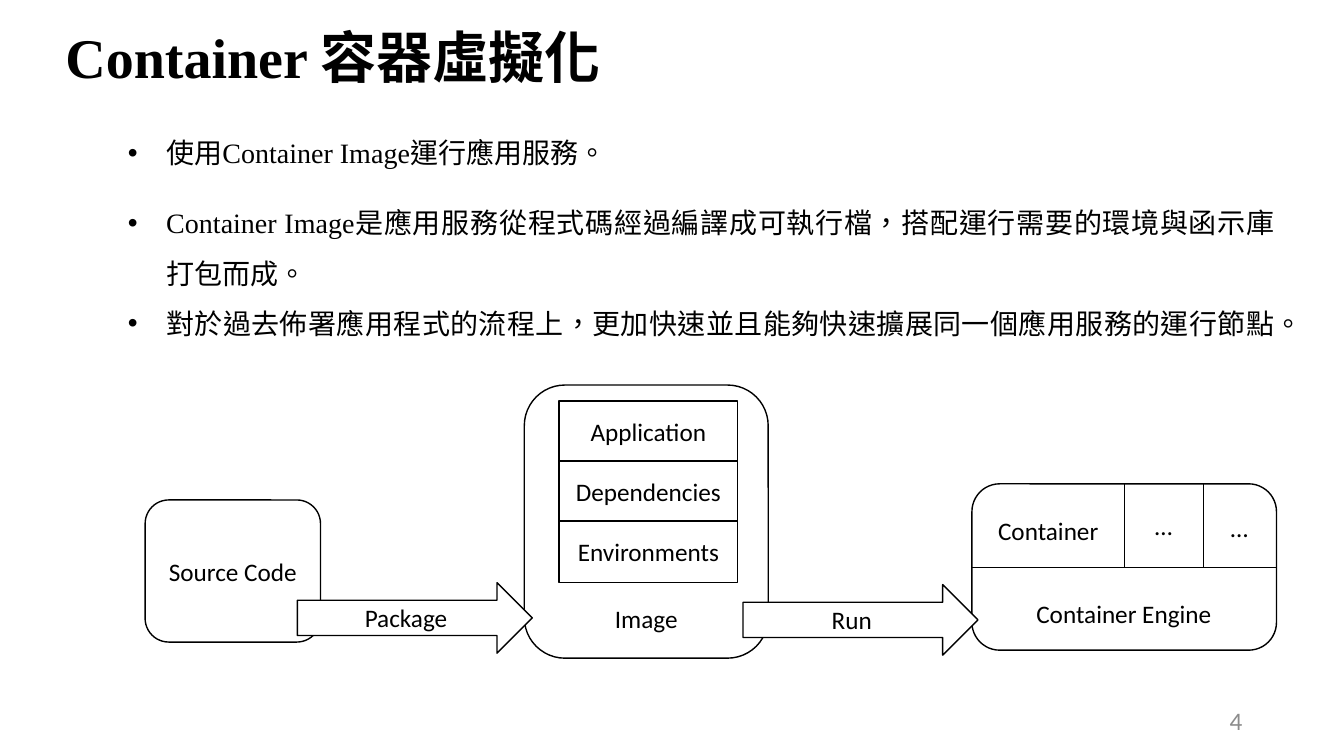
import dataclasses

import lxml.etree
import pptx
import pptx.dml.color
import pptx.enum.lang
import pptx.enum.shapes
import pptx.enum.text
import pptx.oxml.ns
import pptx.util

COLORS = {"ink": "000000", "paper": "FFFFFF", "number": "8C8C8C"}
BODY_FONT = "Calibri"
HEAD_FONT = "Times New Roman"
SLIDE_WIDTH = pptx.util.Inches(13.33)
SLIDE_HEIGHT = pptx.util.Inches(7.5)
SHAPES = pptx.enum.shapes.MSO_SHAPE
ALIGN = pptx.enum.text.PP_ALIGN
ANCHOR = pptx.enum.text.MSO_ANCHOR
LABEL_HEIGHT = 5.33


@dataclasses.dataclass
class Box:
    """Left, top, width and height in percent of the slide."""
    left: float
    top: float
    width: float
    height: float

    def inner(self, left, top, width, height):
        return Box(self.left + left, self.top + top, width, height)

    def emu(self):
        return (*point(self.left, self.top), *point(self.width, self.height))


def point(column, row):
    return round(SLIDE_WIDTH * column / 100), round(SLIDE_HEIGHT * row / 100)


def color(name):
    return pptx.dml.color.RGBColor.from_string(COLORS[name])


def write(para, text, size=18, font=BODY_FONT, ink="ink", bold=False):
    span = para.add_run()
    span.text = text
    span.font.size = pptx.util.Pt(size)
    span.font.name = font
    span.font.bold = bold
    span.font.color.rgb = color(ink)
    span.font.language_id = pptx.enum.lang.MSO_LANGUAGE_ID.TRADITIONAL_CHINESE


def add_text(page, box, anchor=ANCHOR.TOP):
    frame = page.shapes.add_textbox(*box.emu()).text_frame
    frame.word_wrap = True
    frame.vertical_anchor = anchor
    return frame


def add_label(page, box, text, align=ALIGN.CENTER):
    para = add_text(page, box).paragraphs[0]
    para.alignment = align
    write(para, text)


def add_block(page, box, kind, text=""):
    block = page.shapes.add_shape(kind, *box.emu())
    block.shadow.inherit = False
    block.fill.solid()
    block.fill.fore_color.rgb = color("paper")
    block.line.color.rgb = color("ink")
    block.line.width = pptx.util.Pt(1)
    if text:
        block.text_frame.word_wrap = True
        block.text_frame.vertical_anchor = ANCHOR.MIDDLE
        para = block.text_frame.paragraphs[0]
        para.alignment = ALIGN.CENTER
        write(para, text)
    return block


def add_line(page, start, end):
    line = page.shapes.add_connector(
        pptx.enum.shapes.MSO_CONNECTOR.STRAIGHT, *point(*start), *point(*end))
    line.line.color.rgb = color("ink")
    line.line.width = pptx.util.Pt(0.5)
    lxml.etree.SubElement(line._element.spPr, pptx.oxml.ns.qn("a:effectLst"))
    return line


def add_title(page, box, text):
    para = add_text(page, box, ANCHOR.MIDDLE).paragraphs[0]
    para.line_spacing = 0.9
    write(para, text, 40, HEAD_FONT, bold=True)


def add_bullets(page, box, items):
    frame = add_text(page, box)
    indent = pptx.util.Inches(0.38)
    for index, item in enumerate(items):
        para = frame.add_paragraph() if index else frame.paragraphs[0]
        para.alignment = ALIGN.JUSTIFY
        para.line_spacing = 1.5
        para.space_after = pptx.util.Pt(0 if index else 14)
        props = para._p.get_or_add_pPr()
        props.set("marL", str(indent))
        props.set("indent", str(-indent))
        font = lxml.etree.SubElement(props, pptx.oxml.ns.qn("a:buFont"))
        font.set("typeface", "Arial")
        bullet = lxml.etree.SubElement(props, pptx.oxml.ns.qn("a:buChar"))
        bullet.set("char", "•")
        write(para, item, 20, HEAD_FONT)


def add_image(page, box, layers):
    add_block(page, box, SHAPES.ROUNDED_RECTANGLE)
    for index, layer in enumerate(layers):
        place = box.inner(2.6, 2.13 + 7.93 * index, 13.28, 8.13)
        add_block(page, place, SHAPES.RECTANGLE, layer)
    add_label(page, box.inner(3.15, 28.27, 11.85, LABEL_HEIGHT), "Image")


def add_engine(page, box):
    engine = add_block(page, box, SHAPES.ROUNDED_RECTANGLE)
    middle = box.top + box.height / 2
    center = box.left + box.width / 2
    second = box.left + box.width * 0.76
    shelf = add_line(page, (box.left, middle), (box.left + box.width, middle))
    shelf.begin_connect(engine, 1)
    shelf.end_connect(engine, 3)
    divider = add_line(page, (center, box.top), (center, middle))
    divider.begin_connect(engine, 0)
    add_line(page, (second, box.top), (second, middle))
    for text, left, top, width, align in (
            ("Container Engine", 4.05, 14.53, 15.15, ALIGN.LEFT),
            ("Container", 1.2, 3.47, 9.53, ALIGN.LEFT),
            ("…", 12.45, 2.8, 3.6, ALIGN.CENTER),
            ("…", 18.08, 3.07, 3.6, ALIGN.CENTER)):
        add_label(page, box.inner(left, top, width, LABEL_HEIGHT), text, align)


def add_number(page, box, text):
    para = add_text(page, box, ANCHOR.MIDDLE).paragraphs[0]
    para.alignment = ALIGN.RIGHT
    write(para, text, ink="number")


def main():
    deck = pptx.Presentation()
    deck.slide_width = SLIDE_WIDTH
    deck.slide_height = SLIDE_HEIGHT
    page = deck.slides.add_slide(deck.slide_layouts[6])
    add_title(page, Box(4.13, 1.87, 86.27, 12.13), "Container 容器虛擬化")
    add_bullets(page, Box(8.78, 15.07, 86.8, 30.13), (
        "使用Container Image運行應用服務。",
        "Container Image是應用服務從程式碼經過編譯成可執行檔，"
        "搭配運行需要的環境與函示庫打包而成。",
        "對於過去佈署應用程式的流程上，"
        "更加快速並且能夠快速擴展同一個應用服務的運行節點。"))
    add_block(page, Box(10.8, 66.13, 13.05, 18.8),
              SHAPES.ROUNDED_RECTANGLE, "Source Code")
    add_image(page, Box(39.01, 50.93, 18.15, 36.13),
              ("Application", "Dependencies", "Environments"))
    add_engine(page, Box(72.32, 64, 22.66, 22))
    for text, left, top in (("Package", 22.13, 77.07), ("Run", 55.29, 77.33)):
        add_block(page, Box(left, top, 17.48, 9.33), SHAPES.RIGHT_ARROW, text)
    add_number(page, Box(70.67, 92.67, 22.5, LABEL_HEIGHT), "4")
    deck.save("out.pptx")


if __name__ == "__main__":
    main()
